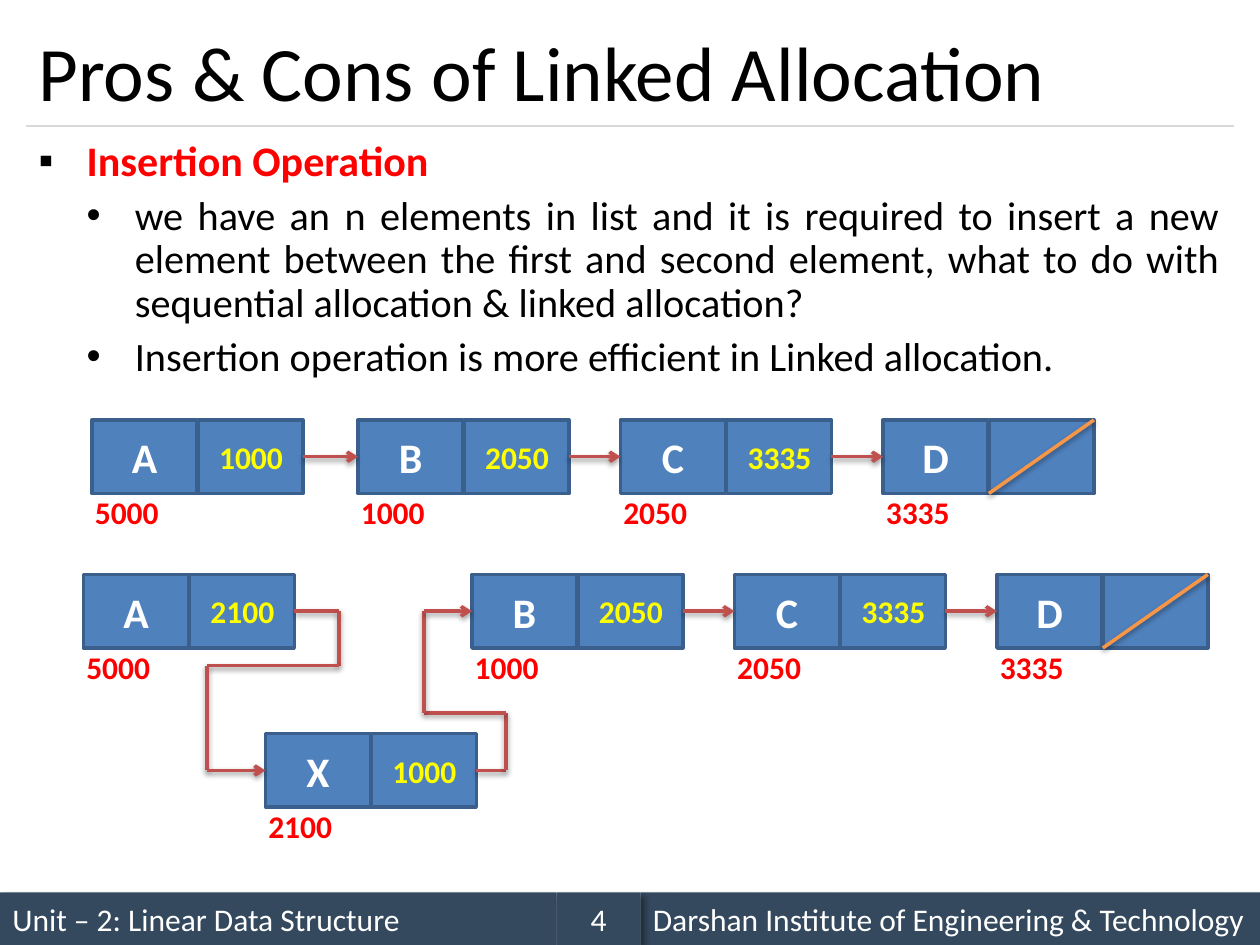
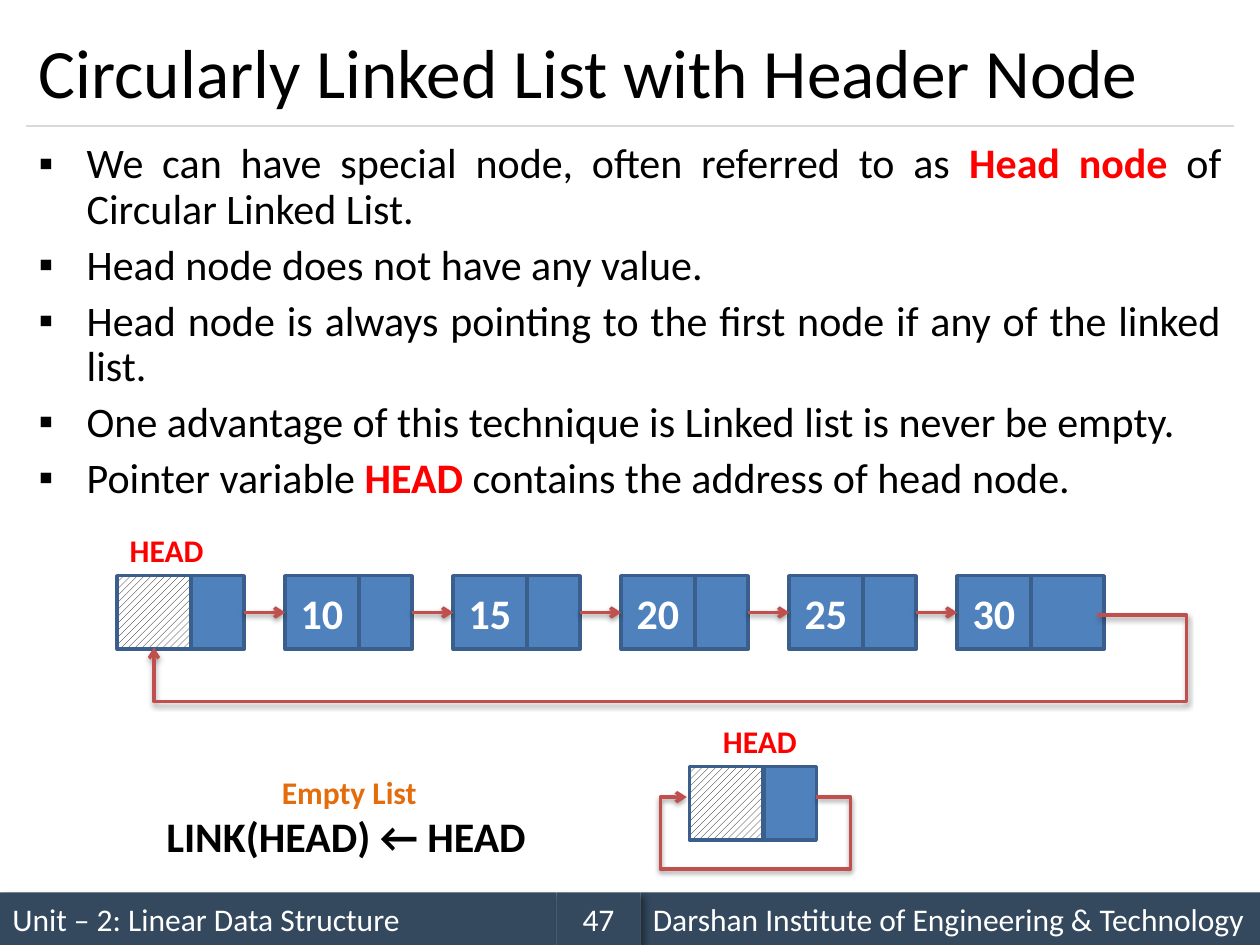
from itertools import pairwise

from lxml.etree import SubElement as Sub
from pptx import Presentation
from pptx.dml.color import RGBColor as RGB
from pptx.enum.dml import MSO_PATTERN as Pattern
from pptx.enum.shapes import MSO_CONNECTOR as Link, MSO_SHAPE as Shape
from pptx.enum.text import MSO_ANCHOR as Anchor, PP_ALIGN as Align
from pptx.oxml.ns import qn
from pptx.util import Pt

WHITE = RGB(0xFF, 0xFF, 0xFF)
BLACK = RGB(0, 0, 0)
SLATE = RGB(0x34, 0x49, 0x5E)
GREY = RGB(0xD9, 0xD9, 0xD9)
BLUE = RGB(0x4F, 0x81, 0xBD)
NAVY = RGB(0x3A, 0x5F, 0x8C)
BRICK = RGB(0xC0, 0x50, 0x4D)
AMBER = RGB(0xF7, 0x96, 0x46)
RUST = RGB(0xE4, 0x6C, 0x0A)
RED = RGB(0xFF, 0, 0)
YELLOW = RGB(0xFF, 0xFF, 0)

PLAIN = {"name": "Calibri", "bold": False}
STRONG = {"name": "Calibri", "bold": True}
PARA = {"alignment": Align.JUSTIFY, "line_spacing": 0.9}
TOP, LEFT, BOTTOM, RIGHT = range(4)
HIGH = 42  # node height
SEAM = 0.5  # gap between the two cells of a node


# ---- Shared helpers ----
def apply(item, values):
    for key, value in values.items():
        setattr(item, key, value)


def ink(font, size, color, values):
    apply(font, {**values, "size": Pt(size)})
    font.color.rgb = color


def shade(item, alpha=None, blur=0, dist=0, angle=0):
    """Give the shape one outer shadow, or none without alpha."""
    effects = Sub(item._element.spPr, qn("a:effectLst"))
    if alpha:
        outer = Sub(effects, qn("a:outerShdw"), blurRad=str(Pt(blur)),
                    dist=str(Pt(dist)), dir=str(angle * 60000), rotWithShape="0")
        color = Sub(outer, qn("a:srgbClr"), val="000000")
        Sub(color, qn("a:alpha"), val=str(alpha * 1000))


def stroke(item, color, arrow=False):
    item.line.color.rgb = color
    item.line.width = Pt(2)
    if arrow:
        Sub(item.line._get_or_add_ln(), qn("a:tailEnd"), type="arrow")
    shade(item, 38, 3.1, 1.6, 90)


def write(shape, text, size, color, values, align=Align.LEFT):
    frame = shape.text_frame
    frame.vertical_anchor = Anchor.MIDDLE
    frame.word_wrap = True
    para = frame.paragraphs[0]
    para.text, para.alignment = text, align
    ink(para.runs[0].font, size, color, values)


def label(slide, x, y, text, color=RED, w=51, h=29, size=18):
    box = slide.shapes.add_textbox(Pt(x), Pt(y), Pt(w), Pt(h))
    write(box, text, size, color, STRONG)
    box.text_frame.word_wrap = False


# ---- Title, rule and footer ----
def title(slide, x, y, w, h, text, size):
    box = slide.shapes.add_textbox(Pt(x), Pt(y), Pt(w), Pt(h))
    write(box, text, size, BLACK, PLAIN)
    rule = slide.shapes.add_connector(
        Link.STRAIGHT, Pt(x), Pt(y + h), Pt(x + w), Pt(y + h))
    rule.line.color.rgb = GREY
    rule.line.width = Pt(0.75)
    shade(rule)


def footer(slide, x, y, w, h, page):
    unit, num = 318, 48
    cells = [
        (x, unit, "Unit – 2: Linear Data Structure", Align.LEFT),
        (x + unit + num, w - unit - num,
         "Darshan Institute of Engineering & Technology", Align.LEFT),
        (x + unit, num, str(page), Align.CENTER),
    ]
    for left, wide, text, align in cells:
        band = slide.shapes.add_shape(Shape.RECTANGLE, Pt(left), Pt(y), Pt(wide), Pt(h))
        band.fill.solid()
        band.fill.fore_color.rgb = SLATE
        band.line.fill.background()
        shade(band, 40, 4, 3, 45)
        write(band, text, 18, WHITE, PLAIN, align)


def base(deck, text, size, page):
    slide = deck.slides.add_slide(deck.slide_layouts[6])
    title(slide, 15, 8.6, 690, 63.4, text, size)
    footer(slide, 0, 510, 720, 30, page)
    return slide


# ---- Bullet text: (level, size, text), with red words between asterisks ----
def body(slide, x, y, w, h, items):
    frame = slide.shapes.add_textbox(Pt(x), Pt(y), Pt(w), Pt(h)).text_frame
    frame.word_wrap = True
    for i, (level, size, text) in enumerate(items):
        para = frame.add_paragraph() if i else frame.paragraphs[0]
        apply(para, {**PARA, "level": level, "space_before": Pt(6 if i else 0)})
        props = para._p.get_or_add_pPr()
        props.set("marL", str(Pt(27.5 * (level + 1))))
        props.set("indent", str(-Pt(27.5)))
        Sub(Sub(props, qn("a:buClr")), qn("a:srgbClr"), val=str(BLACK))
        Sub(props, qn("a:buFont"), typeface="Arial")
        Sub(props, qn("a:buChar"), char="▪•"[level])
        for n, part in enumerate(text.split("*")):
            if part:
                run = para.add_run()
                run.text = part
                hot = n % 2
                ink(run.font, size, RED if hot else BLACK, STRONG if hot else PLAIN)


# ---- Nodes and pointers ----
def node(slide, x, y, text, w=60, tail=60):
    """Draw a data cell and a link cell; without text the data cell is hatched."""
    group = slide.shapes.add_group_shape()
    cells = []
    for left, wide in ((x, w), (x + w + SEAM, tail)):
        cell = group.shapes.add_shape(Shape.RECTANGLE, Pt(left), Pt(y), Pt(wide), Pt(HIGH))
        cell.shadow.inherit = False
        cell.fill.solid()
        cell.fill.fore_color.rgb = BLUE
        cell.line.color.rgb = NAVY
        cell.line.width = Pt(2)
        cells.append(cell)
    data = cells[0]
    if text:
        write(data, text, 24, WHITE, STRONG, Align.CENTER)
    else:
        data.fill.patterned()
        data.fill.pattern = Pattern.WIDE_UPWARD_DIAGONAL
        data.fill.fore_color.rgb = BLACK
        data.fill.back_color.rgb = WHITE
    return cells


def filled(slide, x, y, text, place, value):
    """Draw a node with its address below and its link value inside."""
    cells = node(slide, x, y, text)
    label(slide, x - 5.5, y + 38, place)
    if value:
        label(slide, x + 65.5, y + 6.5, value, YELLOW)
    else:
        slash = slide.shapes.add_connector(
            Link.STRAIGHT, Pt(x + 120.5), Pt(y), Pt(x + 60.5), Pt(y + HIGH))
        stroke(slash, AMBER)
    return cells


def route(slide, start, end, turns=()):
    """Lead from a link cell through the turns to a data cell."""
    first = (start.left + start.width, start.top + start.height // 2)
    last = (end.left, end.top + end.height // 2)
    stops = [first, *((Pt(x), Pt(y)) for x, y in turns), last]
    legs = list(pairwise(stops))
    for i, (here, there) in enumerate(legs):
        final = i == len(legs) - 1
        leg = slide.shapes.add_connector(Link.STRAIGHT, *here, *there)
        if i == 0:
            leg.begin_connect(start, RIGHT)
        if final:
            leg.end_connect(end, LEFT)
        stroke(leg, BRICK, arrow=final)


def loop(slide, *stops):
    start, *rest = [(Pt(x), Pt(y)) for x, y in stops]
    pen = slide.shapes.build_freeform(*start)
    pen.add_line_segments(rest, close=False)
    path = pen.convert_to_shape()
    path.fill.background()
    stroke(path, BRICK, arrow=True)


def chain(slide, nodes):
    for (_, link), (data, _) in pairwise(nodes):
        route(slide, link, data)


# ---- Insertion diagrams ----
def rest(slide, x, y):
    """Nodes B, C and D, which both lists share."""
    parts = [("B", "1000", "2050"), ("C", "2050", "3335"), ("D", "3335", None)]
    nodes = [filled(slide, x + 150 * i, y, *part) for i, part in enumerate(parts)]
    chain(slide, nodes)
    return nodes[0]


def before(slide, x, y):
    a = filled(slide, x, y, "A", "5000", "1000")
    b = rest(slide, x + 152, y)
    chain(slide, [a, b])


def after(slide, x, y):
    a = filled(slide, x, y, "A", "5000", "2100")
    b = rest(slide, x + 222, y)
    new = filled(slide, x + 104, y + 91, "X", "2100", "1000")
    mid = y + HIGH / 2
    low = mid + 91
    route(slide, a[1], new[0],
          [(x + 146, mid), (x + 146, y + 52), (x + 70.5, y + 52), (x + 70.5, low)])
    route(slide, new[1], b[0],
          [(x + 241.5, low), (x + 241.5, y + 79), (x + 194.5, y + 79), (x + 194.5, mid)])


# ---- Circular list diagrams ----
def ring(slide, x, y):
    words = [None, "10", "15", "20", "25", "30"]
    nodes = [node(slide, x + 96 * i, y, word, 42, 41.5 if word == "30" else 30)
             for i, word in enumerate(words)]
    chain(slide, nodes)
    label(slide, x, y - 29, "HEAD", w=57)
    loop(slide, (x + 560, y + 22.5), (x + 611, y + 22.5), (x + 611, y + 72),
         (x + 21, y + 72), (x + 21, y + 41))


def empty(slide, x, y):
    node(slide, x, y, None, 42, 30)
    label(slide, x + 12, y - 29, "HEAD", w=57)
    loop(slide, (x + 72.5, y + 17.5), (x + 92, y + 17.5), (x + 92, y + 58.5),
         (x - 16.5, y + 58.5), (x - 16.5, y + 17.5), (x - 1.5, y + 17.5))


def caption(slide, x, y):
    label(slide, x + 66, y, "Empty List", RUST, w=92)
    label(slide, x, y + 21.5, "LINK(HEAD) ← HEAD", BLACK, w=224, h=36, size=24)


# ---- Slides ----
def insertion(deck):
    slide = base(deck, "Pros & Cons of Linked Allocation", 44, 4)
    body(slide, 15, 76.3, 690, 164, [
        (0, 24, "*Insertion Operation*"),
        (1, 23, "we have an n elements in list and it is required to insert a new "
                "element between the first and second element, what to do with "
                "sequential allocation & linked allocation?"),
        (1, 23, "Insertion operation is more efficient in Linked allocation."),
    ])
    before(slide, 52.6, 240)
    after(slide, 47.7, 328.3)


def circular(deck):
    slide = base(deck, "Circularly Linked List with Header Node", 39.6, 47)
    body(slide, 15, 78, 690, 216, [(0, 24, text) for text in (
        "We can have special node, often referred to as *Head node *of Circular Linked List.",
        "Head node does not have any value.",
        "Head node is always pointing to the first node if any of the linked list.",
        "One advantage of this technique is Linked list is never be empty.",
        "Pointer variable *HEAD *contains the address of head node.",
    )])
    ring(slide, 67, 329)
    empty(slide, 394, 438)
    caption(slide, 88, 438)


def main():
    deck = Presentation()
    deck.slide_width, deck.slide_height = Pt(720), Pt(540)
    insertion(deck)
    circular(deck)
    deck.save("out.pptx")


if __name__ == "__main__":
    main()
